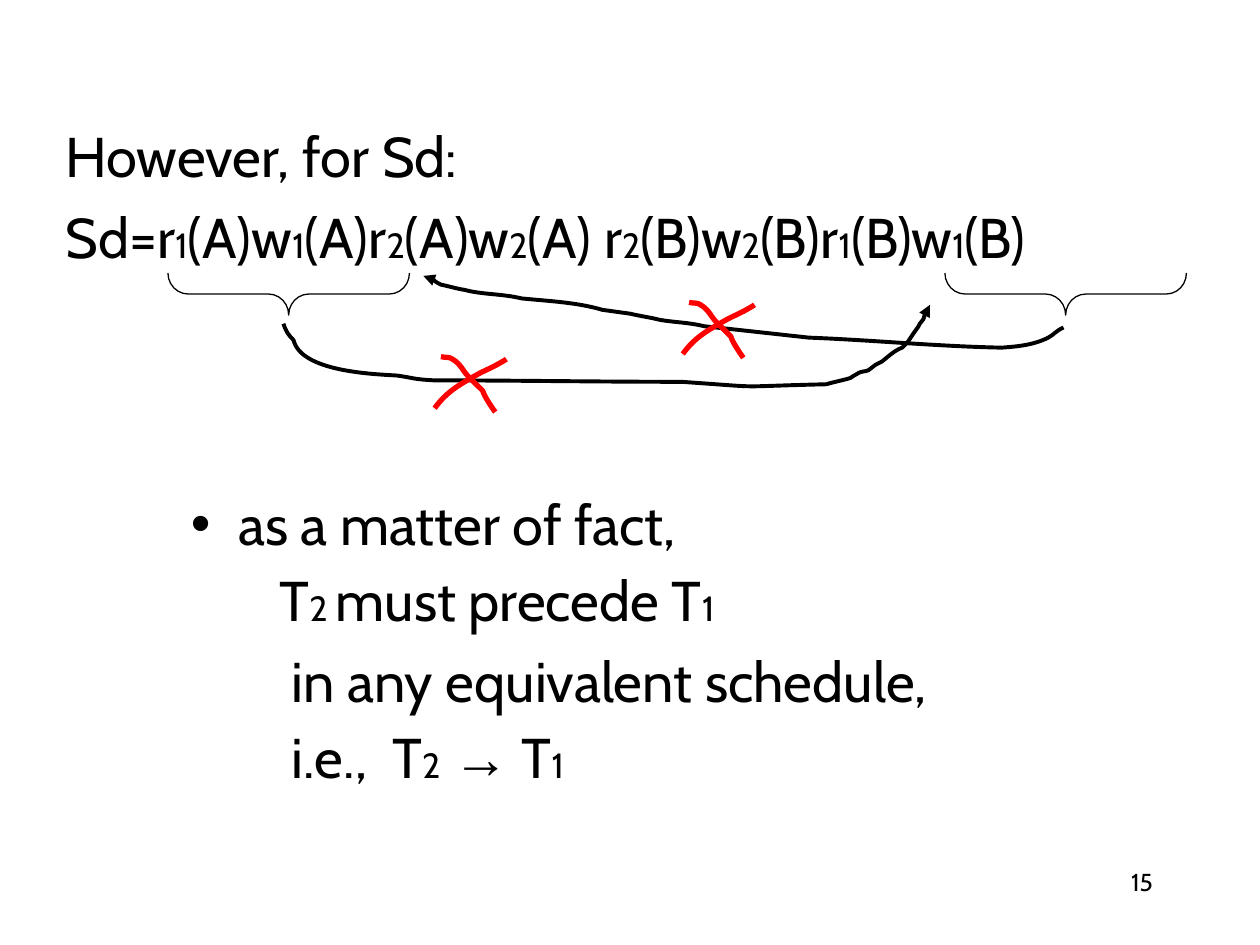
from lxml.etree import SubElement
from pptx import Presentation
from pptx.dml.color import RGBColor
from pptx.enum.shapes import MSO_SHAPE as Shape
from pptx.enum.text import PP_ALIGN as Align
from pptx.oxml.ns import qn
from pptx.util import Pt

COLORS = {"ink": "000000", "cross": "FF0000"}
BODY, SUB, NUMBER = 32, 20, 14
FONT, ARROW_FONT = "Cabin", "Arial"

# Paragraphs: space before, left margin, first-line indent,
# runs as (text, size) with optional extra letter spacing
SCHEDULE = [
    (0, 27, -27, [("However, for Sd:", BODY)]),
    (8, 27, -27, [
        ("Sd=r", BODY), ("1", SUB), ("(A)w", BODY), ("1", SUB),
        ("(A)r", BODY), ("2", SUB), ("(A)w", BODY), ("2", SUB),
        ("(A) r", BODY), ("2", SUB), ("(B)w", BODY), ("2", SUB),
        ("(B)r", BODY), ("1", SUB), ("(B)w", BODY), ("1", SUB), ("(B)", BODY)]),
]
CONCLUSION = [
    (0, 27, -27, [("as a matter of fact,", BODY)]),
    (5, 0, 50.6, [("T", BODY), ("2 ", SUB), ("must precede T", BODY), ("1", SUB)]),
    (8, 0, 57.6, [("in any equivalent schedule,", BODY)]),
    (5, 0, 57.6, [("i.e.,", BODY), (" ", BODY, 7), ("T", BODY), ("2", SUB),
                  (" ", BODY), ("→", BODY), (" T", BODY), ("1", SUB)]),
]
PAGE_NUMBER = [(0, 0, 0, [("15", NUMBER)])]

# Braces under r1(A)w1(A) and r1(B)w1(B): left edges
BRACE_LEFTS = [96, 540]
BRACE_TOP, BRACE_SPAN, BRACE_DEPTH = 156, 138, 24

# Curves: start point, then two control points and an end point per piece
ARROW_TO_A = [
    (607.7, 187.2),
    (604.1, 188.6), (601.9, 191.5), (599, 193),
    (590.4, 197.3), (581.8, 198), (572.4, 198.7),
    (535.7, 198), (499, 194.4), (462.2, 193),
    (442.1, 190.8), (422.6, 188.6), (402.5, 186.5),
    (393.8, 184.3), (385.9, 184.3), (377.3, 182.9),
    (371.5, 181.4), (365.8, 180.7), (360, 179.3),
    (355, 178.6), (344.2, 177.1), (344.2, 177.1),
    (329.8, 172.8), (313.2, 172.1), (298.1, 170.6),
    (286.6, 167.8), (275.8, 168.5), (265, 165.6),
    (263.5, 165.6), (255.6, 163.4), (252, 162.7),
    (247.7, 160.6), (247, 157.7), (241.9, 157.7),
]
ARROW_TO_B = [
    (162, 185),
    (163.4, 189.4), (164.9, 191.5), (167.8, 194.4),
    (172.1, 212.4), (213.1, 213.8), (226.8, 214.6),
    (236.9, 216), (235.4, 216.7), (248.4, 217.4),
    (295.2, 217.4), (342, 218.2), (389.5, 218.2),
    (442.1, 221.8), (414, 221), (472.3, 219.6),
    (476.6, 218.2), (481.7, 217.4), (486, 216),
    (486.7, 215.3), (488.2, 214.6), (489.6, 213.8),
    (491, 212.4), (493.9, 212.4), (496.1, 211.7),
    (501.1, 208.1), (498.2, 209.5), (504, 206.6),
    (507.6, 203.8), (511.2, 200.2), (515.5, 198.7),
    (520.6, 193.7), (517.7, 196.6), (523.4, 188.6),
    (524.2, 187.9), (524.9, 186.5), (525.6, 185),
    (526.3, 184.3), (527.8, 182.2), (527.8, 182.2),
    (528.5, 180.7), (528.5, 178.6), (529.2, 177.1),
    (529.2, 176.4), (531.4, 174.2), (531.4, 174.2),
]
# Strokes of a cross, measured from its top left corner
CROSS_STROKES = [
    [(0, 29.5), (7.2, 19.4), (15.8, 15.1), (25.9, 9.4),
     (30.2, 7.2), (33.8, 5.8), (37.4, 3.6),
     (38.9, 2.9), (41, 1.4), (41, 1.4)],
    [(3.6, 0), (5.8, 0.7), (8.6, 0), (10.1, 1.4),
     (15.1, 4.3), (15.8, 7.9), (19.4, 11.5),
     (22.3, 14.4), (27.4, 19.4), (27.4, 19.4),
     (28.8, 23.8), (34.6, 31.7), (34.6, 31.7)],
]
CROSS_CORNERS = [(248.4, 203.8), (390.2, 172.8)]


def add_text(slide, box, paragraphs, align=Align.LEFT, bullet=False):
    frame = slide.shapes.add_textbox(*map(Pt, box)).text_frame
    frame.word_wrap = True
    for i, (before, margin, indent, runs) in enumerate(paragraphs):
        para = frame.paragraphs[0] if i == 0 else frame.add_paragraph()
        para.alignment = align
        para.space_before = Pt(before)
        props = para._p.get_or_add_pPr()
        props.set("marL", str(Pt(margin)))
        props.set("indent", str(Pt(indent)))
        if bullet and i == 0:
            SubElement(props, qn("a:buFont"), typeface=ARROW_FONT)
            SubElement(props, qn("a:buChar"), char="•")
        for text, size, *spacing in runs:
            run = para.add_run()
            run.text = text
            run.font.size = Pt(size)
            run.font.name = ARROW_FONT if text == "→" else FONT
            run.font.color.rgb = RGBColor.from_string(COLORS["ink"])
            if spacing:
                run._r.get_or_add_rPr().set("spc", str(spacing[0] * 100))


def style_outline(shape, color, width):
    shape.shadow.inherit = False
    shape.fill.background()
    shape.line.color.rgb = RGBColor.from_string(COLORS[color])
    shape.line.width = Pt(width)


def add_curve(slide, knots, color, width, arrow=False):
    start, *rest = [(Pt(x), Pt(y)) for x, y in knots]
    builder = slide.shapes.build_freeform(*start)
    builder.add_line_segments(rest, close=False)
    curve = builder.convert_to_shape()
    style_outline(curve, color, width)

    # Join every three segments into one Bézier piece
    segments = list(curve._element.iter(qn("a:lnTo")))
    outline = segments[0].getparent()
    for i in range(0, len(segments), 3):
        piece = SubElement(outline, qn("a:cubicBezTo"))
        for segment in segments[i:i + 3]:
            piece.append(segment[0])
            outline.remove(segment)

    line = curve.line._get_or_add_ln()
    SubElement(line, qn("a:round"))
    if arrow:
        SubElement(line, qn("a:tailEnd"), type="triangle")


def main():
    deck = Presentation()
    deck.slide_width, deck.slide_height = Pt(720), Pt(540)
    slide = deck.slides.add_slide(deck.slide_layouts[6])

    # Text
    add_text(slide, (516, 492, 150, 36), PAGE_NUMBER, Align.RIGHT)
    add_text(slide, (30.25, 66, 666, 150), SCHEDULE)
    add_text(slide, (102, 276, 552, 240), CONCLUSION, bullet=True)

    # Braces, turned so that the tip points down
    shift = (BRACE_SPAN - BRACE_DEPTH) / 2
    for left in BRACE_LEFTS:
        brace = slide.shapes.add_shape(
            Shape.LEFT_BRACE, Pt(left + shift), Pt(BRACE_TOP - shift),
            Pt(BRACE_DEPTH), Pt(BRACE_SPAN))
        brace.rotation = 270
        brace.adjustments[0] = 0.48
        style_outline(brace, "ink", 0.75)

    # Arrows and the crosses that strike them out
    for arrow in (ARROW_TO_A, ARROW_TO_B):
        add_curve(slide, arrow, "ink", 2.25, arrow=True)
    for left, top in CROSS_CORNERS:
        for stroke in CROSS_STROKES:
            add_curve(slide, [(left + x, top + y) for x, y in stroke], "cross", 3)

    deck.save("out.pptx")


if __name__ == "__main__":
    main()
